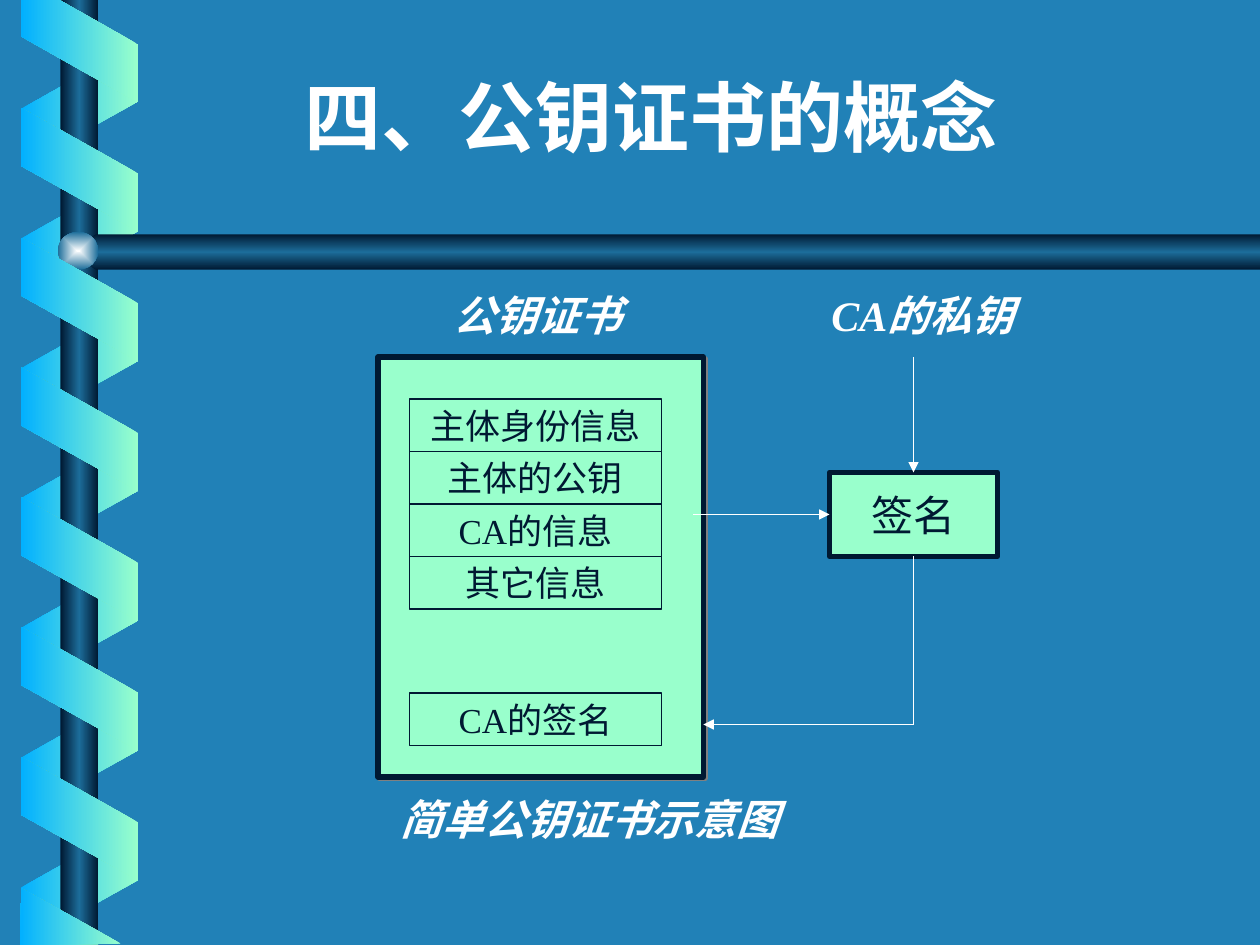
from lxml import etree
from pptx import Presentation
from pptx.dml.color import RGBColor
from pptx.enum.shapes import MSO_CONNECTOR, MSO_SHAPE
from pptx.enum.text import MSO_ANCHOR, MSO_AUTO_SIZE, PP_ALIGN
from pptx.oxml import parse_xml
from pptx.oxml.ns import nsdecls, qn
from pptx.util import Inches, Pt

RECTANGLE, OVAL = MSO_SHAPE.RECTANGLE, MSO_SHAPE.OVAL
PARALLELOGRAM = MSO_SHAPE.PARALLELOGRAM
STRAIGHT = MSO_CONNECTOR.STRAIGHT
CENTER, LEFT = PP_ALIGN.CENTER, PP_ALIGN.LEFT
TOP, MIDDLE, BOTTOM = MSO_ANCHOR.TOP, MSO_ANCHOR.MIDDLE, MSO_ANCHOR.BOTTOM

BACKGROUND = RGBColor(0x21, 0x81, 0xB7)
WHITE = RGBColor(0xFF, 0xFF, 0xFF)
PEARL = RGBColor(0xFE, 0xFF, 0xFF)
NAVY = RGBColor(0x00, 0x19, 0x32)
STEEL = RGBColor(0x1C, 0x6D, 0x9A)
SKY = RGBColor(0x01, 0xB0, 0xFF)
MINT = RGBColor(0x99, 0xFF, 0xCC)
GRAY = RGBColor(0x80, 0x80, 0x80)

TITLE_FONT, BODY_FONT = "Roboto Condensed", "Times New Roman"
ROD = (NAVY, STEEL, NAVY)
RIBBON_PITCH = 1.03
# Side indexes of a rectangle's connection points
TOP_SIDE, LEFT_SIDE, BOTTOM_SIDE = 0, 1, 2


def grid(*cells):
    """Turn grid units, twelve to the inch, into lengths."""
    return [Inches(cell / 12) for cell in cells]


def write(shape, text, size=20, font=BODY_FONT, color=NAVY, bold=False,
          italic=False, align=CENTER, anchor=MIDDLE, wrap=False):
    frame = shape.text_frame
    frame.word_wrap = wrap
    frame.vertical_anchor = anchor
    paragraph = frame.paragraphs[0]
    paragraph.alignment = align
    run = paragraph.add_run()
    run.text = text
    run.font.name, run.font.size = font, Pt(size)
    run.font.bold, run.font.italic = bold, italic
    run.font.color.rgb = color


def fill_gradient(shape, colors, angle=None):
    """Linear at the angle, or spreading from the centre without one."""
    last = len(colors) - 1
    stops = "".join(
        f'<a:gs pos="{100000 * i // last}"><a:srgbClr val="{color}"/></a:gs>'
        for i, color in enumerate(colors))
    if angle is None:
        course = ('<a:path path="rect"><a:fillToRect l="50000" t="50000" '
                  'r="50000" b="50000"/></a:path>')
    else:
        course = f'<a:lin ang="{angle * 60000}" scaled="0"/>'
    gradient = parse_xml(f'<a:gradFill {nsdecls("a")} rotWithShape="0">'
                         f'<a:gsLst>{stops}</a:gsLst>{course}</a:gradFill>')
    properties = shape._element.spPr
    geometry = properties.find(qn("a:prstGeom"))
    if geometry is None:
        geometry = properties.find(qn("a:custGeom"))
    geometry.addnext(gradient)
    shape.line.fill.background()
    shape.shadow.inherit = False


def add_ornament(slide, kind, left, top, width, height, colors, angle=None):
    shape = slide.shapes.add_shape(
        kind, *map(Inches, (left, top, width, height)))
    fill_gradient(shape, colors, angle)
    return shape


def add_outline(slide, points, colors, angle):
    start, *others = [(Inches(x), Inches(y)) for x, y in points]
    builder = slide.shapes.build_freeform(*start, scale=1.0)
    builder.add_line_segments(others, close=True)
    fill_gradient(builder.convert_to_shape(), colors, angle)


def add_ribbons(slide, top, count, rotation, colors, flipped=False):
    for i in range(count):
        ribbon = add_ornament(slide, PARALLELOGRAM, 0.14,
                              top + i * RIBBON_PITCH, 0.98, 0.93, colors, 180)
        ribbon.adjustments[0] = 0.56
        ribbon.rotation = rotation
        if flipped:
            ribbon._element.spPr.xfrm.set("flipH", "1")


def add_spiral(slide):
    # Back ribbons, rods and the bead where the rods meet
    add_ribbons(slide, 0.37, 7, 90, (SKY, MINT), flipped=True)
    add_ornament(slide, RECTANGLE, 0.48, 0, 0.3, 7.5, ROD, 180)
    add_outline(slide, [(10, 1.86), (0.76, 1.86), (0.6, 2), (0.76, 2.14),
                        (10, 2.14)], ROD, 90)
    add_ornament(slide, OVAL, 0.46, 1.84, 0.32, 0.3, (PEARL, STEEL))
    # Front ribbons, cut off at the slide's edges
    front = (MINT, SKY)
    add_ribbons(slide, 0.88, 6, 270, front)
    add_outline(slide, [(0.17, 0), (0.17, 0.29), (1.09, 0.81), (1.09, 0.35),
                        (0.47, 0)], front, 180)
    add_outline(slide, [(0.96, 7.49), (0.17, 7.05), (0.16, 7.5)], front, 180)


def add_box(slide, cells, line_width, text=None, size=20):
    box = slide.shapes.add_shape(RECTANGLE, *grid(*cells))
    box.shadow.inherit = False
    box.fill.solid()
    box.fill.fore_color.rgb = MINT
    box.line.color.rgb = NAVY
    box.line.width = Pt(line_width)
    if text:
        write(box, text, size=size)
    return box


def add_drop_shadow(shape):
    effects = shape._element.spPr.find(qn("a:effectLst"))
    shadow = etree.SubElement(effects, qn("a:outerShdw"), dist="17780",
                              dir="2700000", algn="ctr", rotWithShape="0")
    etree.SubElement(shadow, qn("a:srgbClr"), val=str(GRAY))


def add_label(slide, cells, text):
    label = slide.shapes.add_textbox(*grid(*cells))
    write(label, text, size=24, color=WHITE, bold=True, italic=True,
          align=LEFT, anchor=TOP, wrap=True)
    label.text_frame.auto_size = MSO_AUTO_SIZE.SHAPE_TO_FIT_TEXT


def add_line(slide, cells, arrow=True):
    line = slide.shapes.add_connector(STRAIGHT, *grid(*cells))
    line.line.color.rgb = WHITE
    line.line.width = Pt(0.75)
    if arrow:
        etree.SubElement(line.line._get_or_add_ln(), qn("a:tailEnd"),
                         type="triangle")
    etree.SubElement(line._element.spPr, qn("a:effectLst"))
    return line


def add_diagram(slide):
    # Certificate with its fields
    add_label(slide, (37, 75, 57, 6), "简单公钥证书示意图")
    add_drop_shadow(add_box(slide, (36, 34, 31, 40), 3))
    fields = ("主体身份信息", "主体的公钥", "CA的信息", "其它信息")
    for i, field in enumerate(fields):
        add_box(slide, (39, 38 + 5 * i, 24, 5), 0.75, field)
    add_box(slide, (39, 66, 24, 5), 0.75, "CA的签名")
    # Signing step and its flow
    signing = add_box(slide, (79, 45, 16, 8), 3, "签名", size=24)
    add_line(slide, (66, 49, 79, 49)).end_connect(signing, LEFT_SIDE)
    add_line(slide, (87, 69, 67, 69))
    result = add_line(slide, (87, 53, 87, 69), arrow=False)
    result.begin_connect(signing, BOTTOM_SIDE)
    add_line(slide, (87, 34, 87, 45)).end_connect(signing, TOP_SIDE)
    # Headings
    add_label(slide, (42, 27, 29, 6), "公钥证书")
    add_label(slide, (78, 27, 25, 6), "CA的私钥")


def main():
    presentation = Presentation()
    presentation.slide_width, presentation.slide_height = grid(120, 90)
    slide = presentation.slides.add_slide(presentation.slide_layouts[5])
    slide.background.fill.solid()
    slide.background.fill.fore_color.rgb = BACKGROUND
    add_spiral(slide)
    title = slide.shapes.title
    title.left, title.top, title.width, title.height = grid(11, 5, 102, 11)
    write(title, "四、公钥证书的概念", size=44, font=TITLE_FONT, color=WHITE,
          bold=True, anchor=BOTTOM, wrap=True)
    add_diagram(slide)
    presentation.save("out.pptx")


if __name__ == "__main__":
    main()
